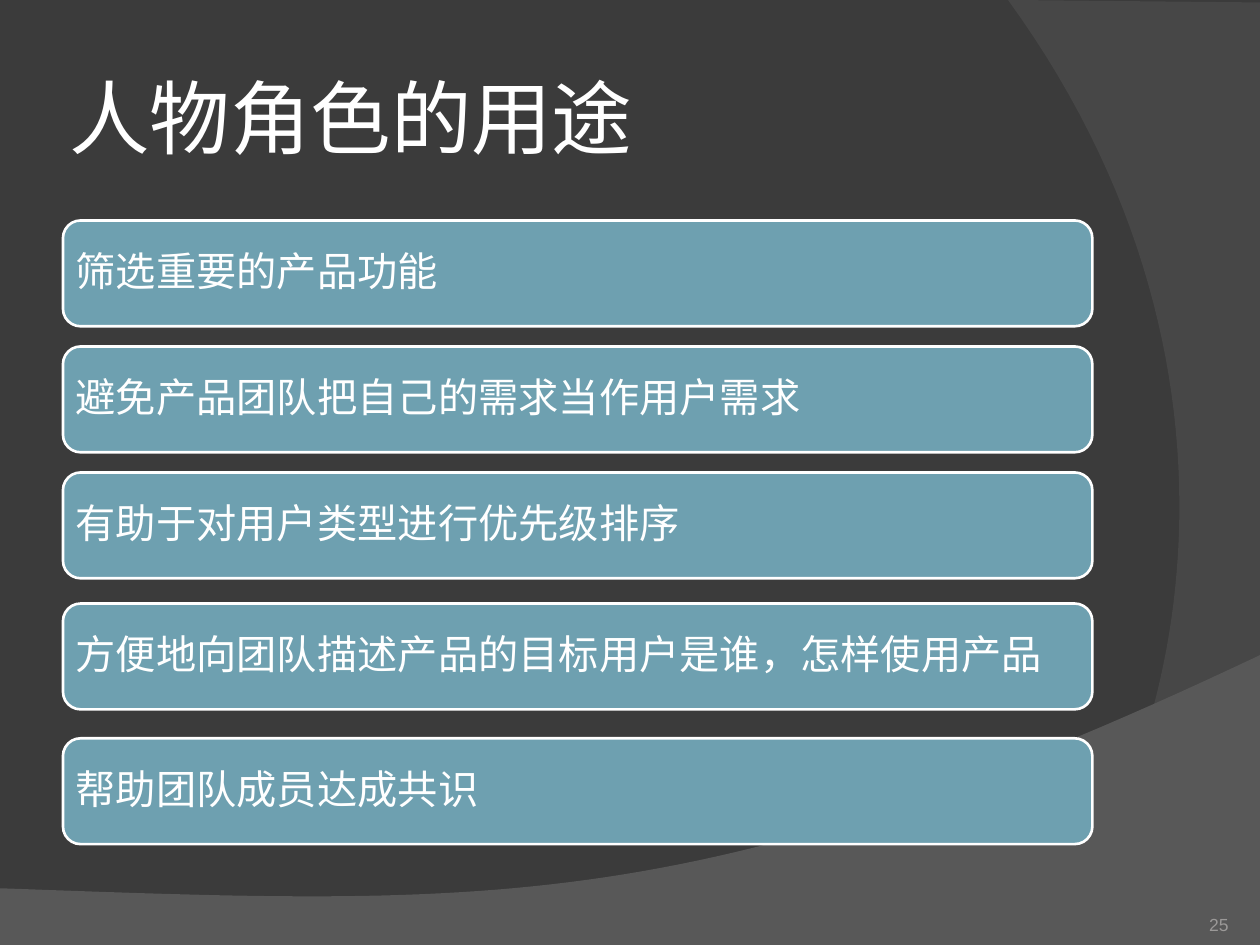
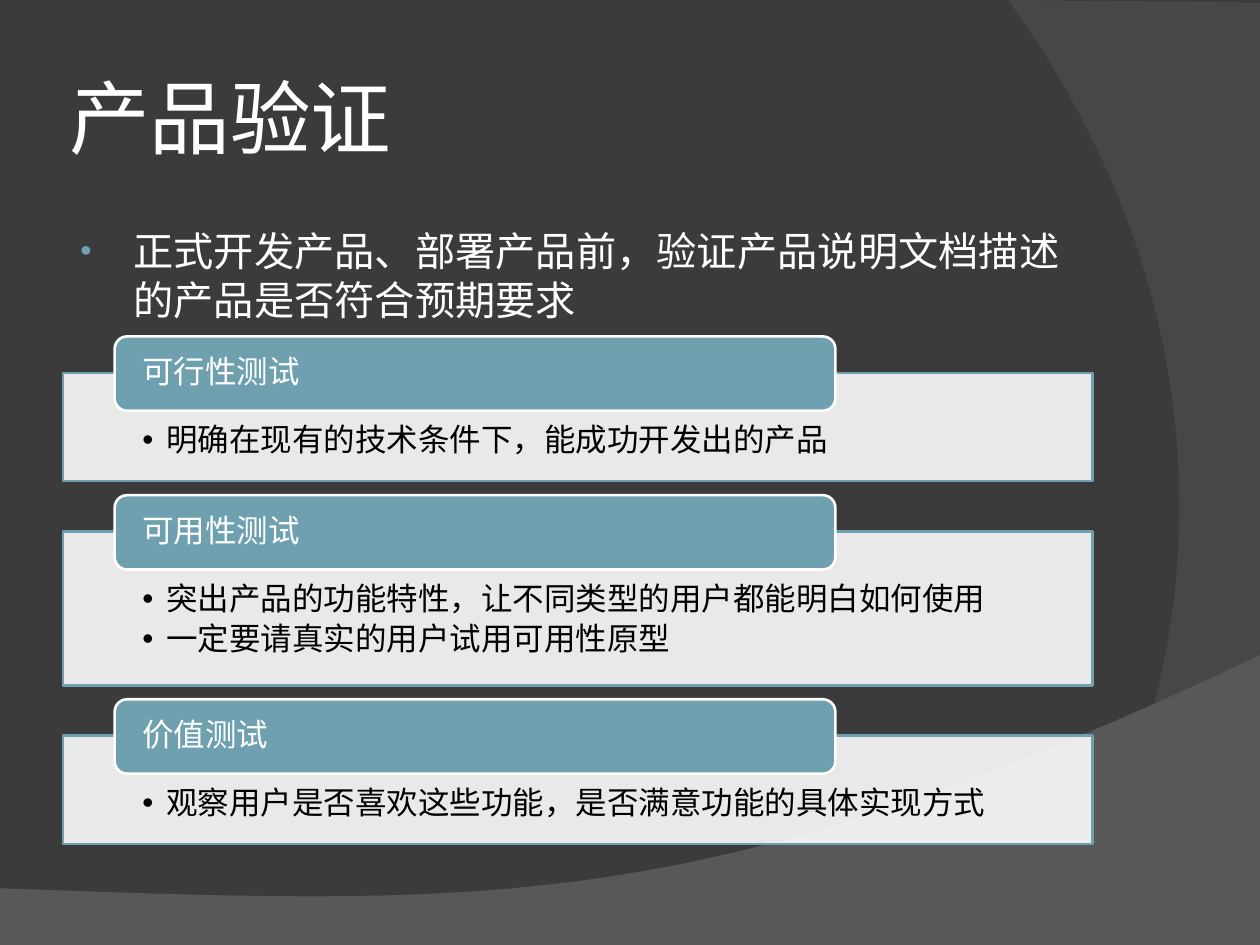
from lxml.etree import SubElement
from pptx import Presentation
from pptx.dml.color import RGBColor
from pptx.enum.shapes import MSO_SHAPE
from pptx.enum.text import MSO_ANCHOR, PP_ALIGN
from pptx.oxml.ns import qn
from pptx.util import Inches, Pt

BACKGROUND = RGBColor(0x3B, 0x3B, 0x3B)
WAVE = RGBColor(0x7C, 0x7C, 0x7C)
ARC = RGBColor(0x5A, 0x5A, 0x5A)
TEAL = RGBColor(0x6E, 0xA0, 0xB0)
WHITE = RGBColor(0xFF, 0xFF, 0xFF)
BLACK = RGBColor(0, 0, 0)
GREY = RGBColor(0x9B, 0x99, 0x98)

CJK = "Noto Sans CJK SC"

# Square grid of 100 columns by 75 rows
W, H = Inches(10), Inches(7.5)
U = W / 100
LEFT, WIDTH = 5, 81.7
CORNER = 0.167

# Straight points before and after a cubic curve (start, two controls, end)
BANDS = [
    (WAVE, 45, [(0, 75), (100, 75)],
     [(100, 52), (55.9, 72.9), (39.1, 71.9), (0, 70.5)]),
    (ARC, 40, [(100, 0.2), (100, 75)],
     [(82.1, 75), (93.5, 61.9), (101.8, 30), (80, 0)]),
]
CURVE_STEPS = 60


def add_box(s, x, y, w, h, kind=None, fill=TEAL, line=WHITE):
    """Place a preset shape, or a text box if kind is None, in grid units."""
    at = [round(v * U) for v in (x, y, w, h)]
    if kind is None:
        return s.shapes.add_textbox(*at)
    sp = s.shapes.add_shape(kind, *at)
    sp.shadow.inherit = False
    sp.fill.solid()
    sp.fill.fore_color.rgb = fill
    sp.line.color.rgb = line
    sp.line.width = Pt(1.5)
    if kind == MSO_SHAPE.ROUNDED_RECTANGLE:
        sp.adjustments[0] = CORNER
    return sp


def write(sp, *lines, size=18, color=WHITE, font=CJK, anchor=MSO_ANCHOR.MIDDLE,
          align=PP_ALIGN.LEFT, insets=(0, 0, 0, 0), spacing=None, before=0,
          after=0, bullet=None, bullet_size=100, indent=(0, 0)):
    """Fill a shape; insets (l, t, r, b) and indent are in grid units."""
    tf = sp.text_frame
    tf.word_wrap = True
    tf.vertical_anchor = anchor
    tf.margin_left, tf.margin_top, tf.margin_right, tf.margin_bottom = (
        round(v * U) for v in insets)
    for i, text in enumerate(lines):
        p = tf.add_paragraph() if i else tf.paragraphs[0]
        p.alignment = align
        p.line_spacing = spacing
        p.space_before, p.space_after = Pt(before), Pt(after)
        r = p.add_run()
        r.text = text
        r.font.size, r.font.name = Pt(size), font
        r.font.color.rgb = color
        SubElement(r._r.get_or_add_rPr(), qn("a:ea"), typeface=CJK)
        if bullet is not None:
            pPr = p._p.get_or_add_pPr()
            pPr.set("marL", str(round(indent[0] * U)))
            pPr.set("indent", str(round(indent[1] * U)))
            clr = SubElement(pPr, qn("a:buClr"))
            SubElement(clr, qn("a:srgbClr"), val=str(bullet))
            SubElement(pPr, qn("a:buSzPct"), val=str(bullet_size * 1000))
            SubElement(pPr, qn("a:buFont"), typeface="Arial")
            SubElement(pPr, qn("a:buChar"), char="•")


prs = Presentation()
prs.slide_width, prs.slide_height = W, H
translucent = []

# Shared background, curved bands and title
slides = []
for title in ("人物角色的用途", "产品验证"):
    s = prs.slides.add_slide(prs.slide_layouts[6])
    slides.append(s)
    s.background.fill.solid()
    s.background.fill.fore_color.rgb = BACKGROUND
    for color, opacity, corners, (a, b, c, d) in BANDS:
        points = list(corners)
        for step in range(CURVE_STEPS + 1):
            t = step / CURVE_STEPS
            weights = ((1 - t) ** 3, 3 * t * (1 - t) ** 2,
                       3 * t ** 2 * (1 - t), t ** 3)
            points.append([sum(k * v for k, v in zip(weights, axis))
                           for axis in zip(a, b, c, d)])
        points = [(round(x * U), round(y * U)) for x, y in points]
        outline = s.shapes.build_freeform(*points[0])
        outline.add_line_segments(points[1:], close=True)
        band = outline.convert_to_shape()
        band.shadow.inherit = False
        band.fill.solid()
        band.fill.fore_color.rgb = color
        band.line.fill.background()
        translucent.append((band, opacity))
    write(add_box(s, LEFT, 3, WIDTH, 12.5), title, size=46, font="Roboto",
          insets=(0.5, 0.5, 0.5, 0.5))

purposes, validation = slides

# Slide 1: one bar per purpose
PURPOSES = [
    (17.5, "筛选重要的产品功能"),
    (27.5, "避免产品团队把自己的需求当作用户需求"),
    (37.5, "有助于对用户类型进行优先级排序"),
    (47.9, "方便地向团队描述产品的目标用户是谁，怎样使用产品"),
    (58.6, "帮助团队成员达成共识"),
]
for top, purpose in PURPOSES:
    bar = add_box(purposes, LEFT, top, WIDTH, 8.4, MSO_SHAPE.ROUNDED_RECTANGLE)
    write(bar, purpose, size=23, insets=(0.6, 0.6, 0.6, 0.6), spacing=0.9,
          after=10)
write(add_box(purposes, 89.2, 70.2, 8.3, 4), "25", size=10, color=GREY,
      font="Arial", anchor=MSO_ANCHOR.BOTTOM, align=PP_ALIGN.RIGHT)

# Slide 2: introduction, then a panel with a tab for each test
write(add_box(validation, LEFT, 17.5, WIDTH, 7.5),
      "正式开发产品、部署产品前，验证产品说明文档描述的产品是否符合预期要求",
      size=23, font="Arial", anchor=MSO_ANCHOR.TOP, insets=(1, 0.5, 1, 0.5),
      before=5.8, bullet=TEAL, bullet_size=80, indent=(4.6, -4.2))

TESTS = [
    ("可行性测试", ["明确在现有的技术条件下，能成功开发出的产品"]),
    ("可用性测试", ["突出产品的功能特性，让不同类型的用户都能明白如何使用",
               "一定要请真实的用户试用可用性原型"]),
    ("价值测试", ["观察用户是否喜欢这些功能，是否满意功能的具体实现方式"]),
]
PANEL_GAP, TAB_RISE = 4, 2.9
top = 29.6
for name, goals in TESTS:
    height = 5 + 3.6 * len(goals)
    panel = add_box(validation, LEFT, top, WIDTH, height, MSO_SHAPE.RECTANGLE,
                    fill=WHITE, line=TEAL)
    translucent.append((panel, 89))
    write(panel, *goals, color=BLACK, anchor=MSO_ANCHOR.TOP,
          insets=(6.3, 4.1, 6.3, 1.4), spacing=0.9, after=3.4, bullet=BLACK,
          indent=(1.9, -1.9))
    tab = add_box(validation, 9.1, top - TAB_RISE, 57.2, 5.9,
                  MSO_SHAPE.ROUNDED_RECTANGLE)
    write(tab, name, insets=(1.9, 0, 1.9, 0), spacing=0.9, after=7.9)
    top += height + PANEL_GAP

for sp, opacity in translucent:
    color = sp._element.spPr.find(qn("a:solidFill")).find(qn("a:srgbClr"))
    SubElement(color, qn("a:alpha"), val=str(opacity * 1000))

prs.save("out.pptx")
